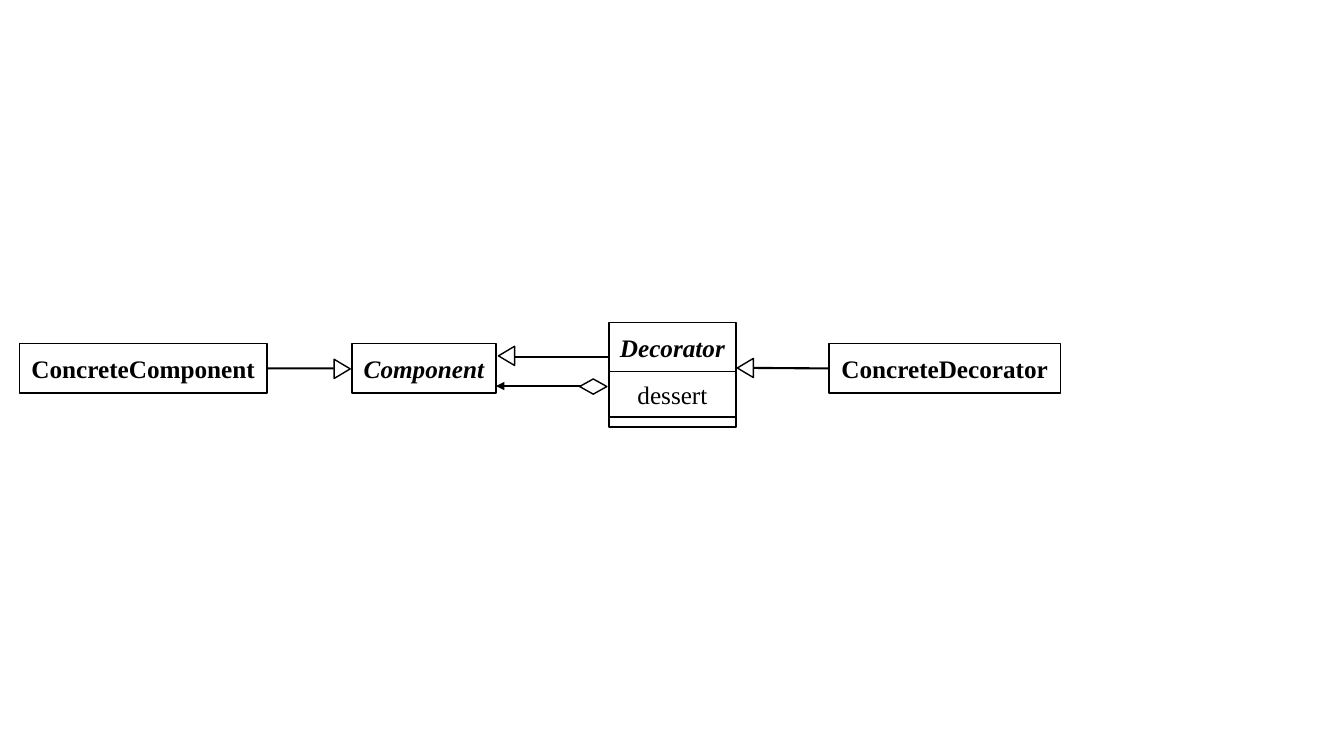
"""Class diagram of the Decorator pattern on one slide."""
from lxml.etree import SubElement
from pptx import Presentation
from pptx.dml.color import RGBColor
from pptx.enum.shapes import MSO_CONNECTOR as Link, MSO_SHAPE as Form
from pptx.enum.text import MSO_ANCHOR as Anchor, PP_ALIGN as Align
from pptx.oxml.ns import qn
from pptx.util import Inches, Pt

BLACK = RGBColor(0x00, 0x00, 0x00)
WHITE = RGBColor(0xFF, 0xFF, 0xFF)

deck = Presentation()
deck.slide_width, deck.slide_height = Inches(13.33), Inches(7.5)
slide = deck.slides.add_slide(deck.slide_layouts[6])
col, row = deck.slide_width / 100, deck.slide_height / 100


def draw(home, form, x, y, wide, high):
    """Add a white shape with a thin black outline, placed in grid units."""
    item = home.add_shape(form, round(x * col), round(y * row),
                          round(wide * col), round(high * row))
    item.shadow.inherit = False
    item.fill.solid()
    item.fill.fore_color.rgb = WHITE
    item.line.color.rgb = BLACK
    item.line.width = Pt(1)
    return item


def label(item, text, bold, slant):
    """Write centred text into a box."""
    frame = item.text_frame
    frame.word_wrap = False
    frame.vertical_anchor = Anchor.MIDDLE
    para = frame.paragraphs[0]
    para.text = text
    para.alignment = Align.CENTER
    font = para.font
    font.name, font.size = "Times New Roman", Pt(18)
    font.bold, font.italic = bold, slant
    font.color.rgb = BLACK


boxes = {}
for name, x, wide, slant in [
    ("Component", 26.18, 10.73, True),
    ("ConcreteComponent", 1.43, 18.45, False),
    ("ConcreteDecorator", 61.67, 17.25, False),
]:
    boxes[name] = draw(slide.shapes, Form.RECTANGLE, x, 45.47, wide, 6.53)
    label(boxes[name], name, True, slant)

group = slide.shapes.add_group_shape()
top = 42.67
for text, high, title in [("Decorator", 6.47, True), ("dessert", 6, False), ("", 1.33, False)]:
    part = draw(group.shapes, Form.RECTANGLE, 45.31, top, 9.45, high)
    if text:
        label(part, text, title, title)
    top += high

for form, x, y, wide, high, turn in [
    (Form.ISOSCELES_TRIANGLE, 25.46, 48.8, 1.43, 2.13, 90),
    (Form.ISOSCELES_TRIANGLE, 37.69, 47.07, 1.43, 2.13, 270),
    (Form.ISOSCELES_TRIANGLE, 55.46, 48.67, 1.43, 2.13, 270),
    (Form.DIAMOND, 44.14, 51.13, 1.13, 3.6, 90),
]:
    draw(slide.shapes, form, x - wide / 2, y - high / 2, wide, high).rotation = turn

for x1, y1, x2, y2, arrow, goal, side in [
    (38.33, 47.2, 45.31, 47.2, False, None, 0),
    (43.2, 51.07, 36.91, 51.07, True, None, 0),
    (24.83, 48.73, 19.88, 48.73, False, "ConcreteComponent", 3),
    (56.1, 48.67, 61.67, 48.73, False, "ConcreteDecorator", 1),
]:
    line = slide.shapes.add_connector(Link.STRAIGHT, round(x1 * col), round(y1 * row),
                                      round(x2 * col), round(y2 * row))
    line.line.color.rgb = BLACK
    line.line.width = Pt(1.5)
    if goal:
        line.end_connect(boxes[goal], side)
    props = line._element.spPr
    if arrow:
        SubElement(props.find(qn("a:ln")), qn("a:tailEnd"), type="triangle")
    SubElement(props, qn("a:effectLst"))

deck.save("out.pptx")
